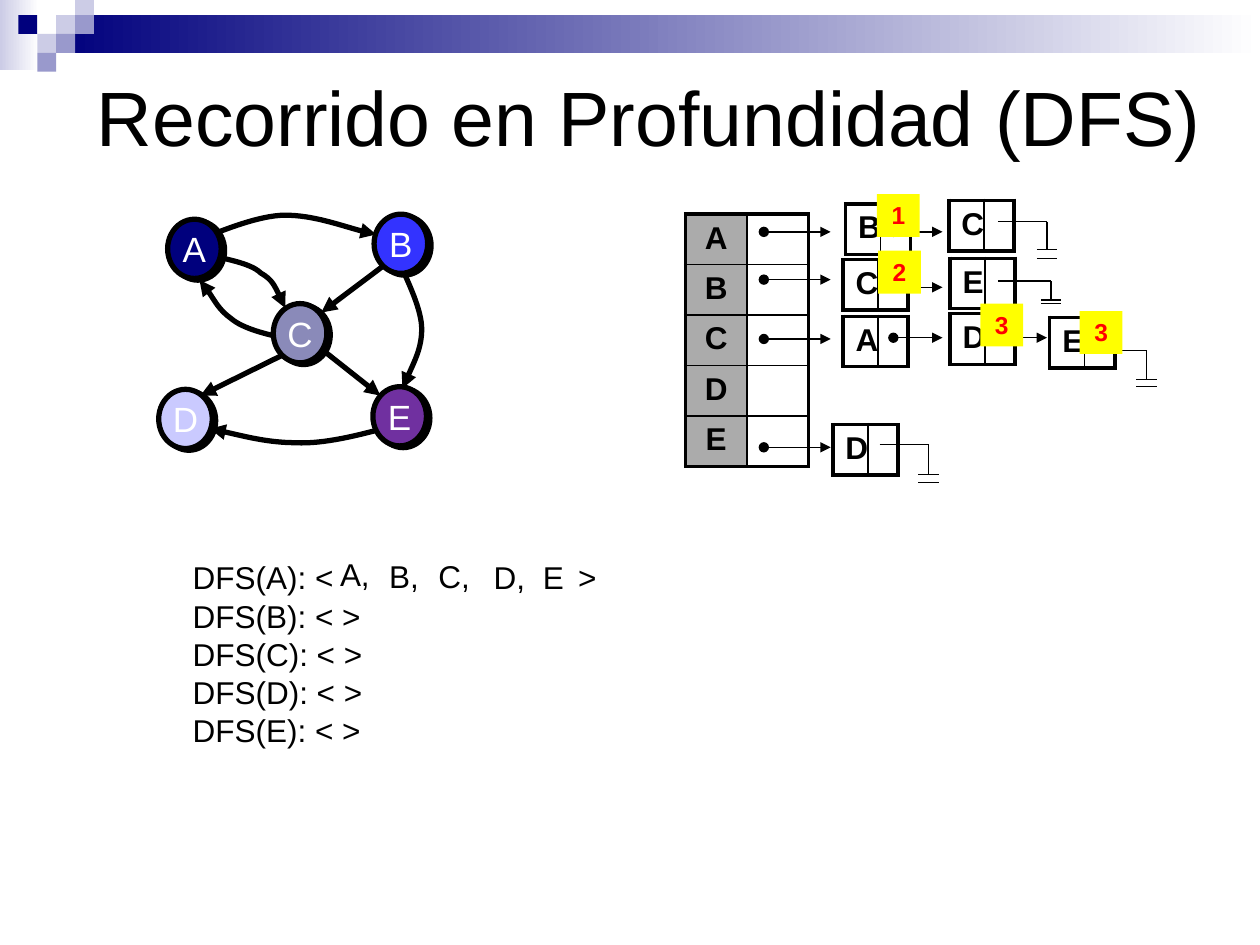
from dataclasses import dataclass

import pptx
import pptx.dml.color
import pptx.enum.shapes
import pptx.enum.text
import pptx.oxml.ns
import pptx.oxml.xmlchemy
import pptx.util

Pt = pptx.util.Pt
qn = pptx.oxml.ns.qn
ALIGN = pptx.enum.text.PP_ALIGN
ANCHOR = pptx.enum.text.MSO_ANCHOR
SHAPES = pptx.enum.shapes.MSO_SHAPE


@dataclass(frozen=True)
class Theme:
    font: str = "Arial"
    black: str = "000000"
    white: str = "FFFFFF"
    navy: str = "00007D"
    pale: str = "CCCCE6"
    lilac: str = "9999CC"
    grey: str = "ABABAB"
    yellow: str = "FFFF00"
    red: str = "FF0000"
    node_colors: tuple = ("00007D", "3333FF", "8A8AB9", "CACAFF", "7030A0")
    title: float = 44
    node: float = 20
    body: float = 18
    badge: float = 14
    thick: float = 3
    frame: float = 2.25
    inner: float = 1
    thin: float = 0.75


def rgb(color):
    return pptx.dml.color.RGBColor.from_string(color)


def add_xml(parent, tag, **attributes):
    child = pptx.oxml.xmlchemy.OxmlElement(tag)
    for name, value in attributes.items():
        child.set(name, str(value))
    parent.append(child)
    return child


class SlideBuilder:
    """Draws styled elements on the current slide."""

    def __init__(self, slide, theme):
        self.slide = slide
        self.theme = theme

    def format_text(self, frame, size, color, bold=False, align=ALIGN.LEFT):
        for paragraph in frame.paragraphs:
            paragraph.alignment = align
            for run in paragraph.runs:
                run.font.name = self.theme.font
                run.font.size = Pt(size)
                run.font.bold = bold
                run.font.color.rgb = rgb(color)

    def text(self, text, left, top, width, height, size, anchor=ANCHOR.TOP):
        shape = self.slide.shapes.add_textbox(Pt(left), Pt(top), Pt(width), Pt(height))
        frame = shape.text_frame
        frame.text = text
        frame.word_wrap = True
        frame.vertical_anchor = anchor
        self.format_text(frame, size, self.theme.black)

    def shape(self, kind, left, top, width, height, color, fade=False):
        shape = self.slide.shapes.add_shape(kind, Pt(left), Pt(top), Pt(width), Pt(height))
        shape.shadow.inherit = False
        shape.line.fill.background()
        if fade:
            shape.fill.gradient()
            shape.fill.gradient_angle = 0
            for stop, stop_color in zip(shape.fill.gradient_stops, (color, self.theme.white)):
                stop.color.rgb = rgb(stop_color)
        else:
            shape.fill.solid()
            shape.fill.fore_color.rgb = rgb(color)
        return shape

    def node(self, letter, left, top, color):
        shape = self.shape(SHAPES.OVAL, left, top, 30.6, 33.84, color)
        self.outline(shape, self.theme.thick)
        effects = shape.element.spPr.find(qn("a:effectLst"))
        shadow = add_xml(effects, "a:outerShdw", dist=Pt(2.2), dir=27 * 60000, algn="ctr", rotWithShape=0)
        add_xml(shadow, "a:srgbClr", val=self.theme.black)
        frame = shape.text_frame
        frame.text = letter
        frame.word_wrap = False
        frame.vertical_anchor = ANCHOR.MIDDLE
        self.format_text(frame, self.theme.node, self.theme.white, align=ALIGN.CENTER)

    def badge(self, number, left, top):
        shape = self.shape(SHAPES.RECTANGLE, left, top, 24.5, 24.5, self.theme.yellow)
        frame = shape.text_frame
        frame.text = number
        frame.vertical_anchor = ANCHOR.TOP
        self.format_text(frame, self.theme.badge, self.theme.red, True, ALIGN.CENTER)

    def outline(self, shape, width, head=None, tail=None):
        shape.line.color.rgb = rgb(self.theme.black)
        shape.line.width = Pt(width)
        line = shape.element.spPr.find(qn("a:ln"))
        for tag, kind in (("a:headEnd", head), ("a:tailEnd", tail)):
            if kind:
                add_xml(line, tag, type=kind)

    def line(self, start, end, width, head=None, tail=None):
        connector = self.slide.shapes.add_connector(
            pptx.enum.shapes.MSO_CONNECTOR.STRAIGHT, *map(Pt, (*start, *end)))
        self.outline(connector, width, head, tail)
        add_xml(connector.element.spPr, "a:effectLst")

    def pointer(self, left, top, length):
        self.line((left, top), (left + length, top), self.theme.thin, "oval", "triangle")

    def ground(self, left, top, stem, upper, lower):
        self.line((left, top), (stem, top), self.theme.thin)
        self.line((stem, top), (stem, upper), self.theme.thin)
        for bar in (upper, lower):
            self.line((stem - 5.76, bar), (stem + 5.76, bar), self.theme.thin)

    def curve(self, start, *controls):
        builder = self.slide.shapes.build_freeform(*start, scale=float(Pt(1)))
        builder.add_line_segments(controls, close=False)
        shape = builder.convert_to_shape()
        shape.shadow.inherit = False
        shape.fill.background()
        self.outline(shape, self.theme.thick, tail="triangle")
        outline = shape.element.spPr.find(".//" + qn("a:path"))
        segments = outline.findall(qn("a:lnTo"))
        for index in range(0, len(segments), 3):
            bezier = add_xml(outline, "a:cubicBezTo")
            for segment in segments[index:index + 3]:
                bezier.append(segment[0])
                outline.remove(segment)

    def table(self, letters, left, top, widths, fills=(None, None)):
        rows = len(letters)
        table = self.slide.shapes.add_table(
            rows, 2, Pt(left), Pt(top), Pt(sum(widths)), Pt(28.8 * rows)).table
        table.first_row = table.horz_banding = False
        for column, width in zip(table.columns, widths):
            column.width = Pt(width)
        for row, letter in enumerate(letters):
            table.cell(row, 0).text_frame.text = letter
            for column, fill in enumerate(fills):
                cell = table.cell(row, column)
                edges = {"L": column == 0, "R": column == 1, "T": row == 0, "B": row == rows - 1}
                for side, outer in edges.items():
                    width = self.theme.frame if outer else self.theme.inner
                    border = add_xml(cell._tc.get_or_add_tcPr(), "a:ln" + side, w=Pt(width))
                    add_xml(add_xml(border, "a:solidFill"), "a:srgbClr", val=self.theme.black)
                if fill:
                    cell.fill.solid()
                    cell.fill.fore_color.rgb = rgb(fill)
                else:
                    cell.fill.background()
                self.format_text(cell.text_frame, self.theme.body, self.theme.black, True, ALIGN.CENTER)


def main():
    theme = Theme()
    presentation = pptx.Presentation()
    presentation.slide_width, presentation.slide_height = Pt(720), Pt(540)
    builder = SlideBuilder(presentation.slides.add_slide(presentation.slide_layouts[6]), theme)

    builder.shape(SHAPES.RECTANGLE, 0, -2.2, 22.3, 42, theme.pale, fade=True)
    builder.shape(SHAPES.RECTANGLE, 32.4, 8.6, 687.6, 21.6, theme.navy, fade=True)
    for column, row, color in ((2, 1, theme.pale), (3, 0, theme.pale), (3, 1, theme.lilac),
                               (1, 2, theme.pale), (0, 1, theme.navy), (2, 2, theme.lilac),
                               (1, 3, theme.lilac)):
        builder.shape(SHAPES.RECTANGLE, 10.5 + 10.8 * column, -2.2 + 10.8 * row, 10.8, 10.8, color)
    builder.text("Recorrido en Profundidad (DFS)", 48.24, 12.24, 648, 108, theme.title, ANCHOR.MIDDLE)

    builder.curve((121, 134), (127.4, 132.5), (147.6, 123.1), (163.4, 123.1),
                  (179.3, 123.1), (204.5, 131.8), (215.3, 134))
    builder.curve((122.4, 146.2), (127.4, 147.6), (142.6, 150.5), (149, 155.5),
                  (156.2, 159.8), (160.6, 171.4), (163.4, 175.7))
    positions = ((95.8, 125.3), (213.8, 122.4), (156.2, 173.5), (90.7, 222.5), (213.1, 221))
    for letter, position, color in zip("ABCDE", positions, theme.node_colors):
        builder.node(letter, *position, color)
    builder.curve((231.1, 156.2), (233.3, 161.3), (241.2, 177.1), (241.2, 187.9),
                  (241.2, 198.7), (232.6, 214.6), (230.4, 221.8))
    builder.curve((215.3, 246.2), (207.4, 247.7), (185, 254.2), (169.2, 253.4),
                  (153.4, 253.4), (130.3, 247), (119.5, 244.8))
    builder.curve((157, 192.2), (152.6, 190.8), (139, 187.9), (131.8, 182.2),
                  (124.6, 177.1), (118.1, 164.2), (114.5, 159.8))
    for start, end in (((218.2, 152.6), (183.6, 178.6)), ((161.3, 203), (114.5, 226.1)),
                       ((183.6, 199.4), (217.4, 226.1))):
        builder.line(start, end, theme.thick, tail="triangle")

    builder.table("ABCDE", 391.7, 122.4, (35.1, 35.1), (theme.grey, theme.white))
    for letter, left, top in (("B", 483.1, 116.6), ("C", 542.2, 114.5), ("C", 481.7, 148.3),
                              ("E", 542.9, 147.6), ("A", 481.7, 180.7), ("D", 542.9, 179.3),
                              ("D", 475.9, 242.6), ("E", 599.8, 181.4)):
        builder.table(letter, left, top, (20, 16.4))
    for top in (132.5, 159.8, 193.7, 255.6):
        builder.pointer(436.5, top, 38.2)
    for left, top in ((510.5, 132.5), (510.5, 164.2), (510.5, 193), (570.2, 193)):
        builder.pointer(left, top, 28.1)
    builder.ground(570.2, 126.7, 598.3, 142.6, 147.6)
    builder.ground(570.2, 160.6, 600.5, 171.4, 173.5)
    builder.ground(626.4, 200.2, 655.2, 216.7, 221)
    builder.ground(502.6, 254.2, 530.6, 271.1, 275.8)
    for number, left, top in (("1", 501.1, 110.9), ("2", 501.8, 143.3),
                              ("3", 560.2, 173.5), ("3", 617, 177.8)):
        builder.badge(number, left, top)

    builder.text("DFS(A): <", 103, 315.4, 207.4, 28.8, theme.body)
    for text, left, top in (("A,", 187.2, 313.9), ("B,", 215.3, 314.6), ("C,", 243.4, 314.6),
                            ("D,", 275, 315.4), ("E", 303.1, 315.4), (">", 323.3, 315.4)):
        builder.text(text, left, top, 42.5, 28.8, theme.body)
    lines = "\n".join(f"DFS({letter}): < >" for letter in "BCDE")
    builder.text(lines, 103, 337.7, 207.4, 95, theme.body)
    presentation.save("out.pptx")


if __name__ == "__main__":
    main()
